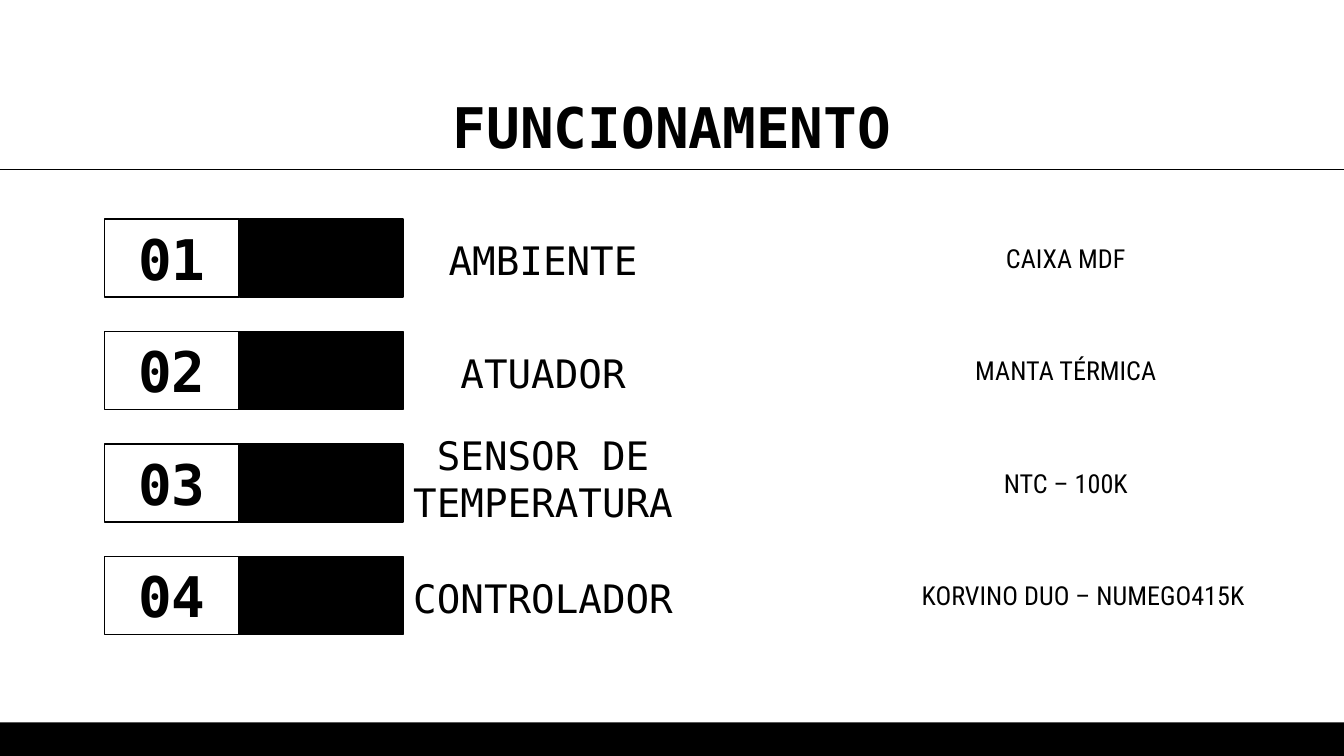
from pptx import Presentation
from pptx.dml.color import RGBColor
from pptx.enum.shapes import MSO_CONNECTOR, MSO_SHAPE
from pptx.enum.text import MSO_ANCHOR, MSO_AUTO_SIZE, PP_ALIGN
from pptx.oxml.ns import qn
from pptx.util import Inches, Pt
from lxml.etree import SubElement

BLACK = RGBColor(0, 0, 0)
MONO = "DejaVu Sans Mono"
CONDENSED = "Roboto Condensed"

SLIDE_WIDTH = 10
SLIDE_HEIGHT = SLIDE_WIDTH * 9 / 16
FOOTER_HEIGHT = 0.25
ROW_TOP = 1.63
ROW_STEP = 2.51 / 3
ROW_HEIGHT = 0.58
NUMBER_LEFT = 0.78
NUMBER_WIDTH = 1
BAR_WIDTH = 1.22
LABEL_CENTER = 4.04
DETAIL_LEFT = 6.64

ROWS = [
    ("AMBIENTE", 2.08, "CAIXA MDF", 2.58),
    ("ATUADOR", 2.08, "MANTA TÉRMICA", 2.58),
    ("SENSOR DE TEMPERATURA", 2.21, "NTC – 100K", 2.58),
    ("CONTROLADOR", 2.32, "KORVINO DUO – NUMEGO415K", 2.84),
]
TALL_LABEL = "SENSOR DE TEMPERATURA"
TALL_LABEL_TOP = 2.95
TALL_LABEL_HEIGHT = 1.06


def write_text(shape, text, font_name, size, anchor, bold=False):
    frame = shape.text_frame
    frame.text = text
    frame.word_wrap = True
    frame.auto_size = MSO_AUTO_SIZE.NONE
    frame.vertical_anchor = anchor
    frame.margin_left = frame.margin_right = Inches(0.1)
    frame.margin_top = frame.margin_bottom = Inches(0.1)
    paragraph = frame.paragraphs[0]
    paragraph.alignment = PP_ALIGN.CENTER
    font = paragraph.runs[0].font
    font.name = font_name
    font.size = Pt(size)
    font.bold = bold
    font.color.rgb = BLACK


def add_rectangle(slide, left, top, width, height, filled=True, outlined=True):
    shape = slide.shapes.add_shape(
        MSO_SHAPE.RECTANGLE, Inches(left), Inches(top), Inches(width), Inches(height)
    )
    shape.shadow.inherit = False
    if filled:
        shape.fill.solid()
        shape.fill.fore_color.rgb = BLACK
    else:
        shape.fill.background()
    if outlined:
        shape.line.color.rgb = BLACK
        shape.line.width = Pt(0.75)
    else:
        shape.line.fill.background()
    return shape


def add_text(slide, left, top, width, height, text, font_name, size, anchor):
    box = slide.shapes.add_textbox(
        Inches(left), Inches(top), Inches(width), Inches(height)
    )
    write_text(box, text, font_name, size, anchor)


def add_title(slide, text):
    title = slide.shapes.title
    title.left, title.top = Inches(0.78), Inches(0.59)
    title.width, title.height = Inches(8.44), Inches(0.67)
    write_text(title, text, MONO, 30, MSO_ANCHOR.TOP, bold=True)


def add_divider(slide):
    line = slide.shapes.add_connector(
        MSO_CONNECTOR.STRAIGHT,
        Inches(-0.02), Inches(1.26), Inches(10.02), Inches(1.26),
    )
    line.line.color.rgb = BLACK
    line.line.width = Pt(0.75)
    SubElement(line._element.spPr, qn("a:effectLst"))


def add_row(slide, index, label, label_width, detail, detail_width):
    top = ROW_TOP + index * ROW_STEP
    number = add_rectangle(
        slide, NUMBER_LEFT, top, NUMBER_WIDTH, ROW_HEIGHT, filled=False
    )
    write_text(number, f"{index + 1:02d}", MONO, 30, MSO_ANCHOR.MIDDLE, bold=True)
    add_rectangle(slide, NUMBER_LEFT + NUMBER_WIDTH, top, BAR_WIDTH, ROW_HEIGHT)
    label_top, label_height = top, ROW_HEIGHT
    if label == TALL_LABEL:
        label_top, label_height = TALL_LABEL_TOP, TALL_LABEL_HEIGHT
    add_text(
        slide, LABEL_CENTER - label_width / 2, label_top, label_width, label_height,
        label, MONO, 21, MSO_ANCHOR.BOTTOM,
    )
    add_text(
        slide, DETAIL_LEFT, top, detail_width, ROW_HEIGHT,
        detail, CONDENSED, 14, MSO_ANCHOR.MIDDLE,
    )


def main():
    presentation = Presentation()
    presentation.slide_width = Inches(SLIDE_WIDTH)
    presentation.slide_height = Inches(SLIDE_HEIGHT)
    slide = presentation.slides.add_slide(presentation.slide_layouts[5])
    add_rectangle(
        slide, 0, SLIDE_HEIGHT - FOOTER_HEIGHT, SLIDE_WIDTH, FOOTER_HEIGHT,
        outlined=False,
    )
    add_title(slide, "FUNCIONAMENTO")
    add_divider(slide)
    for index, row in enumerate(ROWS):
        add_row(slide, index, *row)
    presentation.save("out.pptx")


if __name__ == "__main__":
    main()
